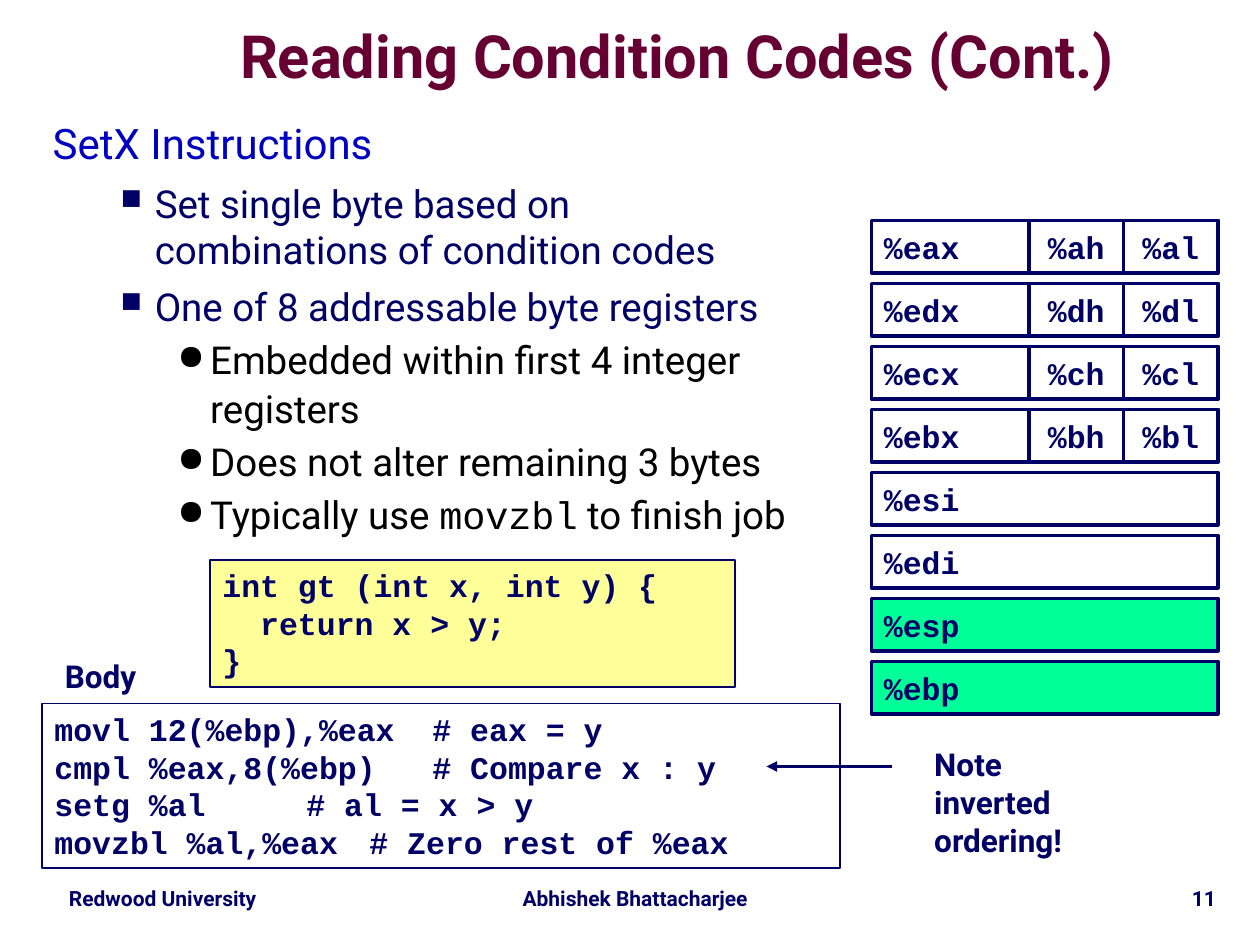
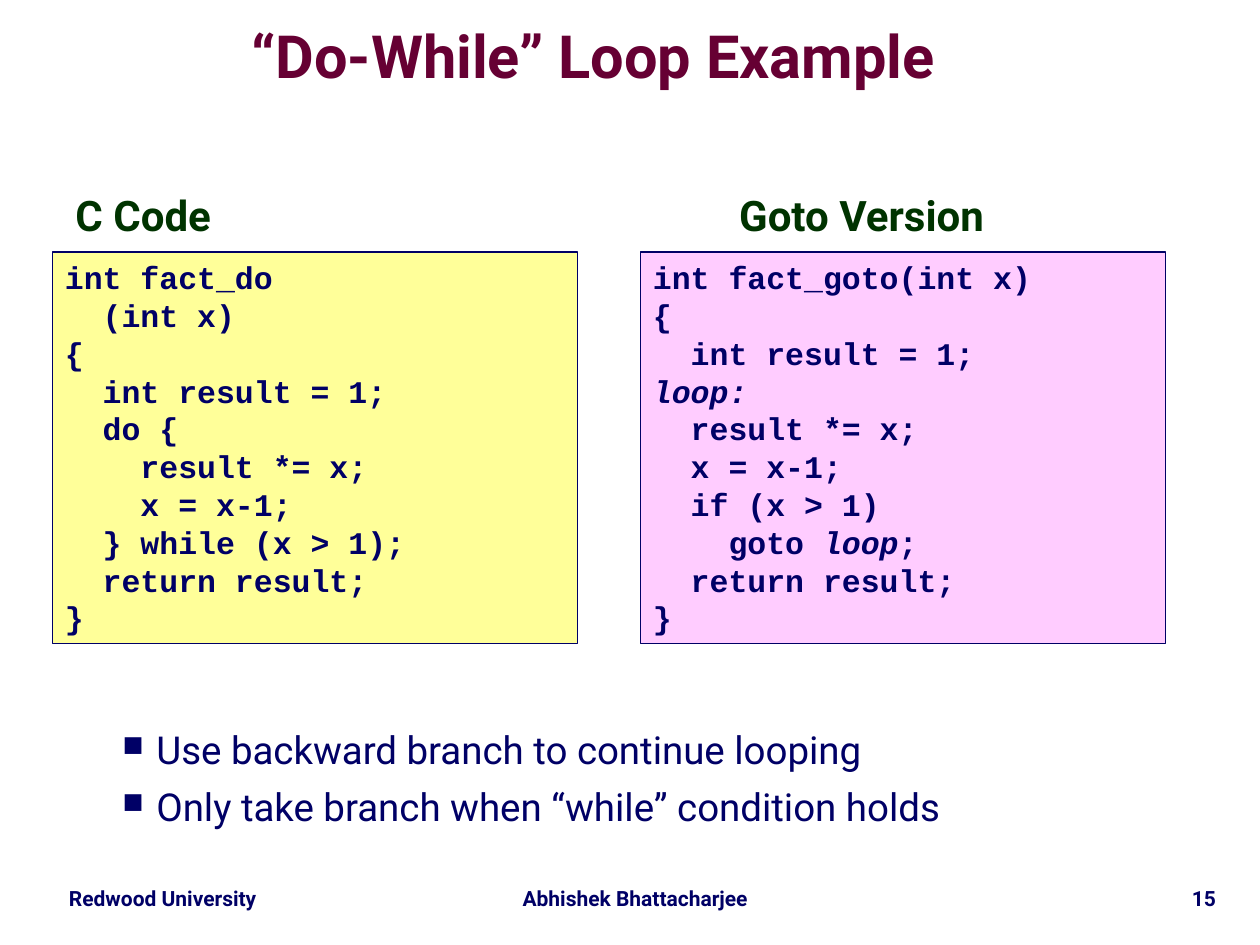
from lxml import etree
from pptx import Presentation
from pptx import util as u
from pptx.dml.color import RGBColor
from pptx.enum import shapes, text
from pptx.oxml import ns

hues = {
    "navy": "000066", "wine": "660033", "blue": "0000C0", "green": "003300",
    "black": "000000", "white": "FFFFFF", "mint": "00FF99",
    "cream": "FFFF99", "pink": "FFCCFF",
}
ink = {key: RGBColor.from_string(val) for key, val in hues.items()}
sans, mono = "Roboto", "Courier New"
mid, right = text.PP_ALIGN.CENTER, text.PP_ALIGN.RIGHT

deck = Presentation()
deck.slide_width, deck.slide_height = u.Inches(10), u.Inches(7.5)
cell = deck.slide_width / 120

looks = {
    "title": {"font": {"name": sans, "size": u.Pt(34), "bold": True}, "hue": "wine",
              "para": {"alignment": mid, "line_spacing": 0.87}},
    "foot": {"font": {"name": sans, "size": u.Pt(12), "bold": True}, "hue": "navy",
             "para": {"alignment": mid, "line_spacing": 0.9}},
    "page": {"font": {"name": sans, "size": u.Pt(12), "bold": True}, "hue": "navy",
             "para": {"alignment": right, "line_spacing": 0.9}},
    "lead": {"font": {"name": sans, "size": u.Pt(24)}, "hue": "blue",
             "para": {"line_spacing": 0.95}},
    "item": {"font": {"name": sans, "size": u.Pt(22)}, "hue": "navy",
             "para": {"level": 1, "space_before": u.Pt(6)},
             "mark": ("■", 75, 0.81, 0.27)},
    "sub": {"font": {"name": sans, "size": u.Pt(22)}, "hue": "black",
            "para": {"level": 2, "line_spacing": 1.07, "space_before": u.Pt(2)},
            "mark": ("●", 90, 1.25, 0.26), "alt": {"name": mono}},
    "head": {"font": {"name": sans, "size": u.Pt(24), "bold": True}, "hue": "green",
             "para": {"line_spacing": 0.9}},
    "mhead": {"font": {"name": sans, "size": u.Pt(24), "bold": True}, "hue": "green",
              "para": {"alignment": mid, "line_spacing": 0.9}},
    "note": {"font": {"name": sans, "size": u.Pt(18), "bold": True}, "hue": "navy",
             "para": {}},
    "code": {"font": {"name": mono, "size": u.Pt(18), "bold": True}, "hue": "navy",
             "para": {"alignment": text.PP_ALIGN.LEFT}, "alt": {"italic": True}},
    "byte": {"font": {"name": mono, "size": u.Pt(18), "bold": True}, "hue": "navy",
             "para": {"alignment": mid}},
}


def put(page, area, lines, fill=None, edge=0, **frame):
    spot = [round(n * cell) for n in area]
    if edge:
        box = page.shapes.add_shape(shapes.MSO_SHAPE.RECTANGLE, *spot)
        box.shadow.inherit = False
        box.line.color.rgb = ink["navy"]
        box.line.width = u.Pt(edge)
    else:
        box = page.shapes.add_textbox(*spot)
    if fill:
        box.fill.solid()
        box.fill.fore_color.rgb = ink[fill]
    else:
        box.fill.background()
    body = box.text_frame
    style = {"word_wrap": True, "vertical_anchor": text.MSO_ANCHOR.TOP, **frame}
    for key, val in style.items():
        setattr(body, key, val)
    for row, (kind, words) in enumerate(lines):
        look = looks[kind]
        para = body.add_paragraph() if row else body.paragraphs[0]
        for key, val in look["para"].items():
            setattr(para, key, val)
        if "mark" in look:
            sign, size, left, hang = look["mark"]
            prop = para._p.get_or_add_pPr()
            prop.set("marL", str(u.Inches(left)))
            prop.set("indent", str(-u.Inches(hang)))
            etree.SubElement(prop, ns.qn("a:buSzPct")).set("val", str(size * 1000))
            etree.SubElement(prop, ns.qn("a:buChar")).set("char", sign)
        for turn, part in enumerate(words.split("|")):
            if part:
                run = para.add_run()
                run.text = part
                form = {**look["font"], **(look["alt"] if turn % 2 else {})}
                for key, val in form.items():
                    setattr(run.font, key, val)
                run.font.color.rgb = ink[look["hue"]]


def start(name, area, number):
    page = deck.slides.add_slide(deck.slide_layouts[6])
    put(page, (4, 84, 23, 3.4), [("foot", "Redwood University")])
    put(page, (47, 84, 27, 3.4), [("foot", "Abhishek Bhattacharjee")])
    put(page, (98, 84, 19, 3.6), [("page", number)])
    put(page, area, [("title", name)], vertical_anchor=text.MSO_ANCHOR.MIDDLE,
        margin_left=0, margin_right=0, margin_top=0, margin_bottom=0)
    return page


page = start("Reading Condition Codes (Cont.)", (12, 2, 105, 7.5), "11")
put(page, (3.84, 11, 72.6, 73.6), [
    ("lead", "SetX Instructions"),
    ("item", "Set single byte based on combinations of condition codes"),
    ("item", "One of 8 addressable byte registers"),
    ("sub", "Embedded within first 4 integer registers"),
    ("sub", "Does not alter remaining 3 bytes"),
    ("sub", "Typically use |movzbl| to finish job"),
])

slot = {"edge": 2, "word_wrap": False, "vertical_anchor": text.MSO_ANCHOR.MIDDLE}
for row, reg in enumerate("eax edx ecx ebx esi edi esp ebp".split()):
    top = 21 + 6 * row
    put(page, (83, top, 33, 5), [("code", "%" + reg)],
        "mint" if row > 5 else "white", **slot)
    if row < 4:
        for col, half in enumerate("hl"):
            put(page, (98 + 9 * col, top, 9, 5), [("byte", "%" + reg[1] + half)],
                "white", **slot)

greater = """int gt (int x, int y) {
  return x > y;
}"""
put(page, (20, 53.3, 50, 12.1), [("code", s) for s in greater.splitlines()], "cream", 1)
steps = [
    "movl 12(%ebp),%eax\t# eax = y",
    "cmpl %eax,8(%ebp)\t# Compare x : y",
    "setg %al\t\t# al = x > y",
    "movzbl %al,%eax\t# Zero rest of %eax",
]
put(page, (4, 67, 76, 15.7), [("code", s) for s in steps], edge=1)

ends = [round(n * cell) for n in (85, 73, 73, 73)]
arrow = page.shapes.add_connector(shapes.MSO_CONNECTOR.STRAIGHT, *ends)
arrow.line.color.rgb = ink["navy"]
arrow.line.width = u.Pt(2)
etree.SubElement(arrow.line._get_or_add_ln(), ns.qn("a:tailEnd")).set("type", "triangle")
etree.SubElement(arrow._element.spPr, ns.qn("a:effectLst"))
put(page, (87.8, 70.4, 18.2, 12), [("note", "Note inverted ordering!")])
put(page, (5, 62, 18.2, 4.8), [("note", "Body")])

page = start("“Do-While” Loop Example", (7, 2, 99, 7.5), "15")
loop = """int fact_do
  (int x)
{
  int result = 1;
  do {
    result *= x;
    x = x-1;
  } while (x > 1);
  return result;
}"""
jump = """int fact_goto(int x)
{
  int result = 1;
|loop:|
  result *= x;
  x = x-1;
  if (x > 1)
    goto| loop|;
  return result;
}"""
panes = [
    ("head", "C Code", (6, 18, 34.2, 5.4), loop, "cream"),
    ("mhead", "Goto Version", (67, 18, 30.1, 5.4), jump, "pink"),
]
for col, (kind, name, area, code, fill) in enumerate(panes):
    put(page, area, [(kind, name)])
    put(page, (5 + 56 * col, 24, 50, 37.3),
        [("code", s) for s in code.splitlines()], fill, 1)
put(page, (4, 68.6, 108.7, 11.3), [
    ("item", "Use backward branch to continue looping"),
    ("item", "Only take branch when “while” condition holds"),
])

deck.save("out.pptx")
